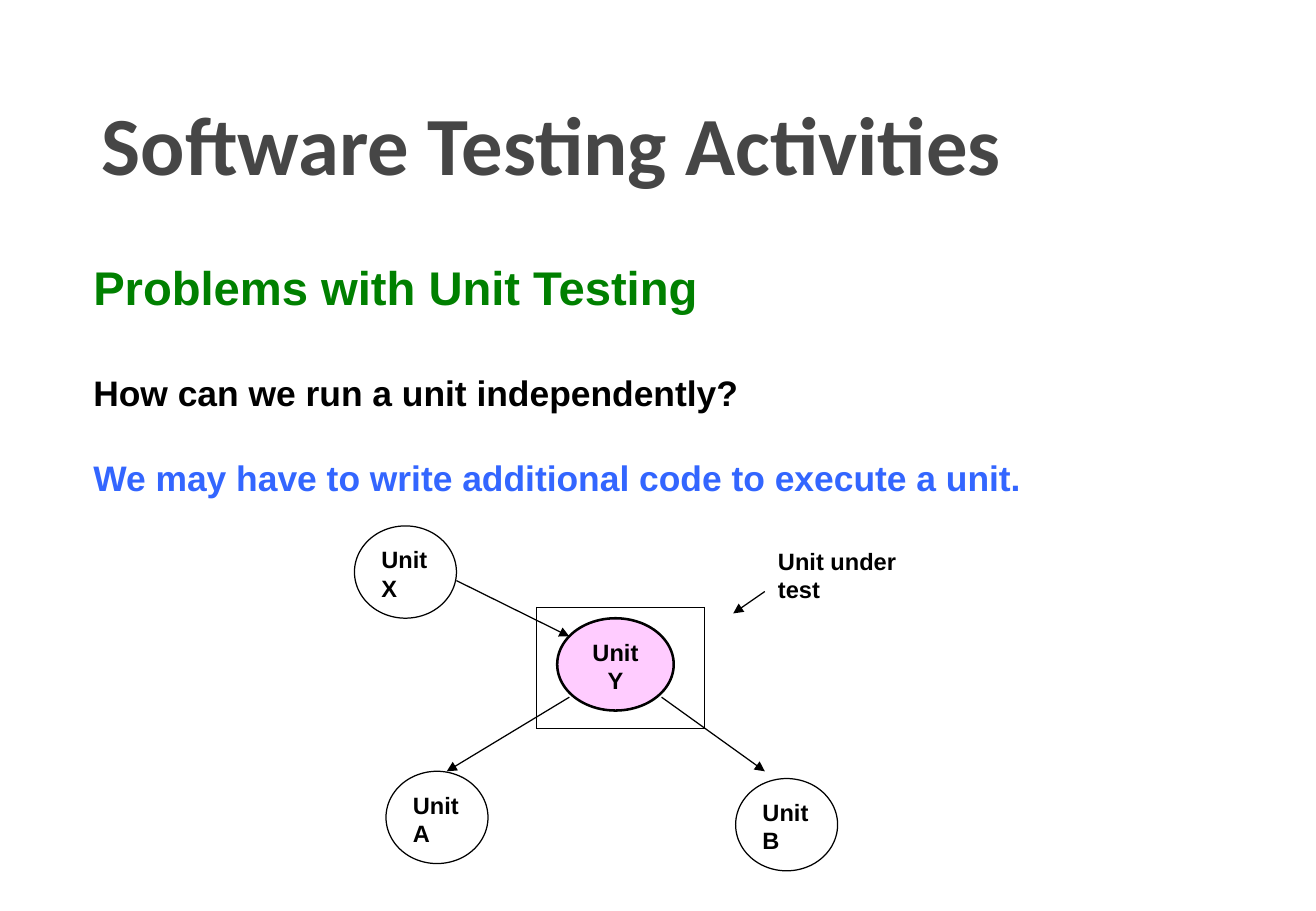
from lxml import etree
from pptx import Presentation
from pptx.dml.color import RGBColor
from pptx.enum.shapes import MSO_CONNECTOR, MSO_SHAPE
from pptx.enum.text import MSO_ANCHOR, PP_ALIGN
from pptx.oxml.ns import qn
from pptx.util import Inches, Pt

OVAL, RECT = MSO_SHAPE.OVAL, MSO_SHAPE.RECTANGLE
STRAIGHT = MSO_CONNECTOR.STRAIGHT
TOP, BOTTOM = MSO_ANCHOR.TOP, MSO_ANCHOR.BOTTOM
LEFT, CENTER = PP_ALIGN.LEFT, PP_ALIGN.CENTER
BLACK, WHITE, PINK = "000000", "FFFFFF", "FFCCFF"
GRAY, GREEN, BLUE = "464646", "008000", "3366FF"


def rgb(value):
    """Turn a hex string into a colour."""
    return RGBColor.from_string(value)


def add_text(p, text, size=14, color=BLACK, font="Arial", align=LEFT, before=0):
    """Fill a paragraph with one bold run."""
    p.alignment = align
    p.space_before = Pt(before)
    r = p.add_run()
    r.text = text
    r.font.name = font
    r.font.size = Pt(size)
    r.font.bold = True
    r.font.color.rgb = rgb(color)


def set_frame(tf, anchor=TOP, side=0.1, edge=0.05):
    """Set wrapping, anchor and insets of a text frame."""
    tf.word_wrap = True
    tf.vertical_anchor = anchor
    tf.margin_left = tf.margin_right = Inches(side)
    tf.margin_top = tf.margin_bottom = Inches(edge)


def add_title(s, x, y, w, h):
    """Place the slide title at the bottom of its box."""
    tf = s.shapes.add_textbox(Inches(x), Inches(y), Inches(w), Inches(h)).text_frame
    set_frame(tf, BOTTOM, 0.12, 0.06)
    add_text(tf.paragraphs[0], "Software Testing Activities", 49, GRAY, "Calibri")


def add_body(s, x, y, w, h):
    """Place the heading, the question and the answer."""
    tf = s.shapes.add_textbox(Inches(x), Inches(y), Inches(w), Inches(h)).text_frame
    set_frame(tf)
    add_text(tf.paragraphs[0], "Problems with Unit Testing", 28, GREEN)
    add_text(tf.add_paragraph(), "How can we run a unit independently?", 21, before=33)
    add_text(tf.add_paragraph(), "We may have to write additional code to execute a unit.",
             21, BLUE, before=25.5)


def add_node(s, text, x, y, w=0.84, h=0.76, kind=OVAL, fill=WHITE, line=BLACK,
             width=0.75, align=LEFT):
    """Draw a labelled shape of the diagram."""
    sp = s.shapes.add_shape(kind, Inches(x), Inches(y), Inches(w), Inches(h))
    sp.shadow.inherit = False
    sp.fill.solid()
    sp.fill.fore_color.rgb = rgb(fill)
    sp.line.color.rgb = rgb(line)
    sp.line.width = Pt(width)
    set_frame(sp.text_frame)
    add_text(sp.text_frame.paragraphs[0], text, align=align)


def add_arrow(s, x1, y1, x2, y2):
    """Draw a thin arrow between two points."""
    c = s.shapes.add_connector(STRAIGHT, Inches(x1), Inches(y1), Inches(x2), Inches(y2))
    c.line.color.rgb = rgb(BLACK)
    c.line.width = Pt(0.75)
    etree.SubElement(c.line._get_or_add_ln(), qn("a:tailEnd"), type="triangle")
    etree.SubElement(c._element.spPr, qn("a:effectLst"))


def add_frame(s, x, y, w, h):
    """Outline the unit under test with a one-cell table."""
    tbl = s.shapes.add_table(1, 1, Inches(x), Inches(y), Inches(w), Inches(h)).table
    tbl.first_row = tbl.horz_banding = False
    cell = tbl.cell(0, 0)
    cell.fill.background()
    tcPr = cell._tc.get_or_add_tcPr()
    for i, side in enumerate(("a:lnL", "a:lnR", "a:lnT", "a:lnB")):
        ln = etree.Element(qn(side), w=str(Pt(0.45)))
        fill = etree.SubElement(ln, qn("a:solidFill"))
        etree.SubElement(fill, qn("a:srgbClr"), val=BLACK)
        tcPr.insert(i, ln)


def add_diagram(s, x, y):
    """Draw the units, their calls and the label from the top left corner."""
    add_node(s, "Unit B", x + 3.14, y + 2.08)
    add_node(s, "Unit Y", x + 1.67, y + 0.76, w=0.96, fill=PINK, width=1.5, align=CENTER)
    add_node(s, "Unit X", x, y)
    add_node(s, "Unit A", x + 0.26, y + 2.02)
    add_node(s, "Unit under test", x + 3.39, y + 0.12, 1.28, 0.57, RECT, line=WHITE)
    for x1, y1, x2, y2 in ((1.77, 1.41, 0.76, 2.02), (2.53, 1.41, 3.38, 2.02),
                           (3.38, 0.54, 3.12, 0.72), (0.84, 0.45, 1.77, 0.91)):
        add_arrow(s, x + x1, y + y1, x + x2, y + y2)
    add_frame(s, x + 1.5, y + 0.67, 1.38, 1)


def main():
    """Build the slide and save it."""
    prs = Presentation()
    prs.slide_width, prs.slide_height = Inches(10.84), Inches(7.5)
    s = prs.slides.add_slide(prs.slide_layouts[6])
    add_title(s, 0.72, 0.17, 9.66, 1.47)
    add_body(s, 0.67, 2.08, 9.42, 2.09)
    add_diagram(s, 2.92, 4.33)
    prs.save("out.pptx")


if __name__ == "__main__":
    main()
